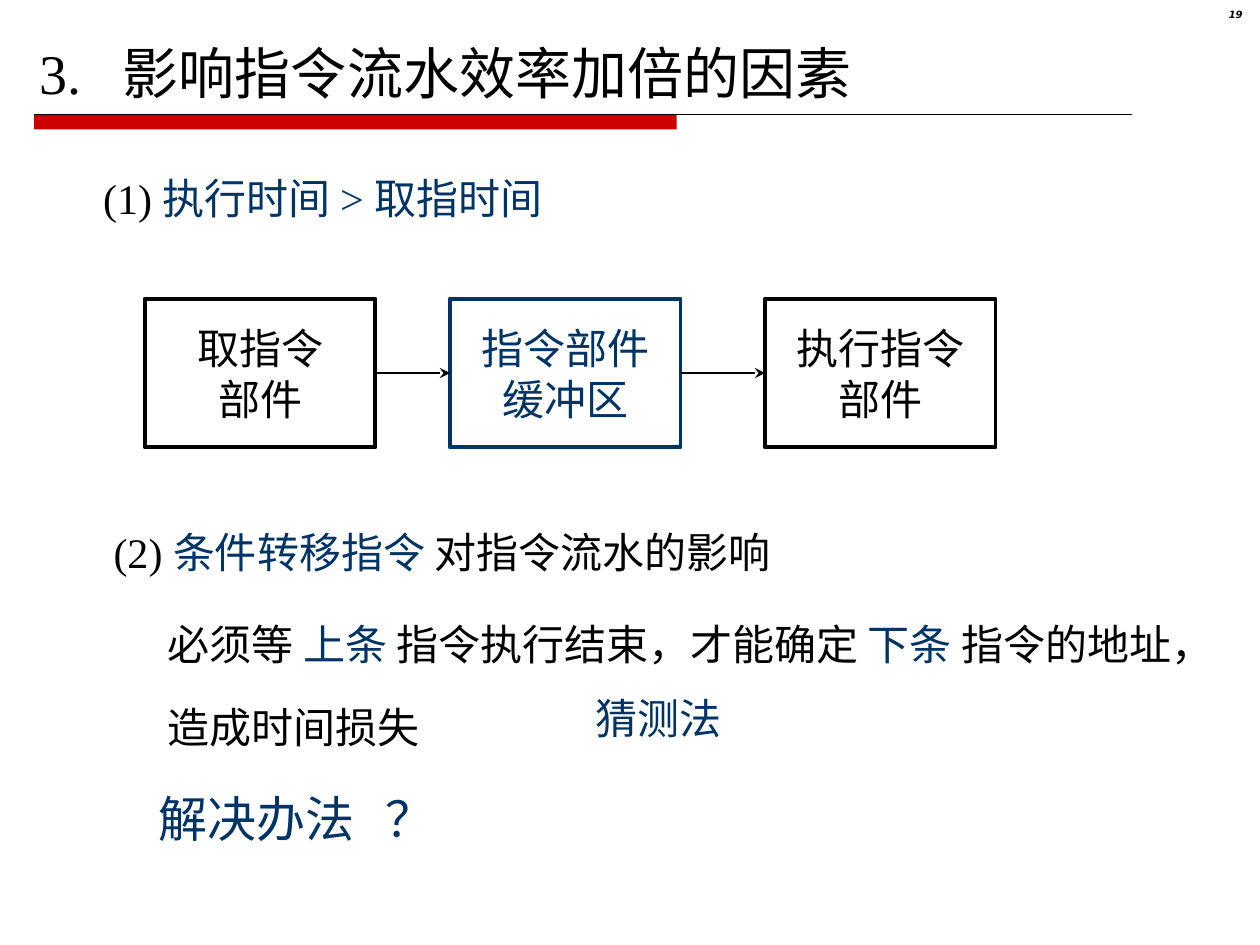
from dataclasses import dataclass
from itertools import pairwise

from lxml.etree import SubElement
from pptx import Presentation
from pptx.dml.color import RGBColor
from pptx.enum.shapes import MSO_CONNECTOR, MSO_SHAPE
from pptx.enum.text import MSO_ANCHOR, PP_ALIGN
from pptx.oxml.ns import qn
from pptx.util import Cm, Pt


@dataclass(frozen=True)
class Theme:
    ink: str = "000000"
    accent: str = "003366"
    bar: str = "CC0000"
    paper: str = "FFFFFF"
    serif: str = "Times New Roman"
    sans: str = "DejaVu Sans"
    title: float = 32
    strong: float = 28
    body: float = 24
    number: float = 5.7


THEME = Theme()


@dataclass(frozen=True)
class Span:
    text: str
    color: str = THEME.ink
    size: float = THEME.body
    font: str = THEME.serif
    emphasis: bool = False


@dataclass(frozen=True)
class TextBlock:
    """A text box: place and insets in centimetres, lines made of spans."""
    place: tuple[float, float, float, float]
    lines: list[list[Span]]
    insets: tuple[float, float, float, float] = (0, 0.13, 0, 0.13)
    anchor: MSO_ANCHOR = MSO_ANCHOR.MIDDLE
    align: PP_ALIGN = PP_ALIGN.LEFT
    spacing: float = 1.0
    tab: float | None = None


@dataclass(frozen=True)
class Stage:
    left: float
    lines: tuple[str, str]
    color: str = THEME.ink


STAGE_TOP, STAGE_WIDTH, STAGE_HEIGHT = 6.02, 4.65, 3.0
PADDED = (0.25, 0.13, 0.25, 0.13)


def set_values(target, values: dict) -> None:
    for name, value in values.items():
        setattr(target, name, value)


def color_of(code: str) -> RGBColor:
    return RGBColor.from_string(code)


def write_text(shape, block: TextBlock) -> None:
    frame = shape.text_frame
    left, top, right, bottom = block.insets
    set_values(frame, {
        "word_wrap": True, "vertical_anchor": block.anchor,
        "margin_left": Cm(left), "margin_top": Cm(top),
        "margin_right": Cm(right), "margin_bottom": Cm(bottom),
    })
    for index, line in enumerate(block.lines):
        para = frame.add_paragraph() if index else frame.paragraphs[0]
        if block.tab is not None:
            tabs = SubElement(para._p.get_or_add_pPr(), qn("a:tabLst"))
            SubElement(tabs, qn("a:tab"), pos=str(Cm(block.tab)), algn="l")
        set_values(para, {"alignment": block.align,
                          "line_spacing": block.spacing})
        for span in line:
            run = para.add_run()
            run.text = span.text
            set_values(run.font, {
                "name": span.font, "size": Pt(span.size),
                "bold": span.emphasis, "italic": span.emphasis,
            })
            run.font.color.rgb = color_of(span.color)


def draw_text(page, block: TextBlock) -> None:
    box = page.shapes.add_textbox(*map(Cm, block.place))
    write_text(box, block)


def draw_line(page, start: tuple[float, float], end: tuple[float, float],
              width: float, arrow: bool = False) -> None:
    line = page.shapes.add_connector(
        MSO_CONNECTOR.STRAIGHT, *map(Cm, (*start, *end)))
    line.line.color.rgb = color_of(THEME.ink)
    line.line.width = Pt(width)
    if arrow:
        SubElement(line.line._get_or_add_ln(), qn("a:tailEnd"), type="stealth")
    SubElement(line._element.spPr, qn("a:effectLst"))


def draw_stage(page, stage: Stage) -> None:
    place = (stage.left, STAGE_TOP, STAGE_WIDTH, STAGE_HEIGHT)
    box = page.shapes.add_shape(MSO_SHAPE.RECTANGLE, *map(Cm, place))
    box.shadow.inherit = False
    box.fill.background()
    box.line.color.rgb = color_of(stage.color)
    box.line.width = Pt(2.25)
    lines = [[Span(text, stage.color)] for text in stage.lines]
    write_text(box, TextBlock(place, lines, align=PP_ALIGN.CENTER))


def draw_header_rule(page) -> None:
    left, top = 0.69, 2.31
    bar = page.shapes.add_shape(
        MSO_SHAPE.RECTANGLE, *map(Cm, (left, top, 12.95, 0.3)))
    bar.shadow.inherit = False
    bar.fill.solid()
    bar.fill.fore_color.rgb = color_of(THEME.bar)
    bar.line.fill.background()
    draw_line(page, (left, top), (22.81, top), 0.75)


STAGES = [
    Stage(2.92, ("取指令", "部件")),
    Stage(9.07, ("指令部件", "缓冲区"), THEME.accent),
    Stage(15.42, ("执行指令", "部件")),
]

TEXT_BLOCKS = [
    # Page number
    TextBlock((23.8, 0.13, 1.5, 0.58),
              [[Span("19", size=THEME.number, font=THEME.sans, emphasis=True)]],
              PADDED, MSO_ANCHOR.TOP, PP_ALIGN.RIGHT, 0.8),
    # Title
    TextBlock((0.79, 0.71, 17.58, 1.47),
              [[Span("3.\t影响指令流水效率加倍的因素", size=THEME.title)]],
              tab=1.69),
    # First factor
    TextBlock((2.08, 3.25, 13, 1.47),
              [[Span("(1) "), Span("执行时间 > 取指时间", THEME.accent)]]),
    # Second factor and its explanation
    TextBlock((2.08, 10.62, 17.78, 1.9),
              [[Span("(2) "), Span("条件转移指令 ", THEME.accent),
                Span("对指令流水的影响")]],
              (0.21, 0, 0, 0), MSO_ANCHOR.TOP),
    TextBlock((2.92, 11.68, 22.48, 3.61),
              [[Span("必须等 "), Span("上条 ", THEME.accent),
                Span("指令执行结束，才能确定 "), Span("下条 ", THEME.accent),
                Span("指令的地址，")],
               [Span("造成时间损失")]],
              (0.46, 0.13, 0.1, 0.13), MSO_ANCHOR.TOP, spacing=1.65),
    # Remedy
    TextBlock((2.08, 15.75, 17.98, 1.47),
              [[Span("解决办法\t？", THEME.accent, THEME.strong)]],
              (1.12, 0.13, 0, 0.13), tab=4.58),
    TextBlock((11.76, 13.84, 11, 1.27), [[Span("猜测法", THEME.accent)]],
              PADDED, MSO_ANCHOR.TOP),
]


def main() -> None:
    deck = Presentation()
    set_values(deck, {"slide_width": Cm(25.4), "slide_height": Cm(19.05)})
    page = deck.slides.add_slide(deck.slide_layouts[6])
    page.background.fill.solid()
    page.background.fill.fore_color.rgb = color_of(THEME.paper)

    draw_header_rule(page)
    for block in TEXT_BLOCKS:
        draw_text(page, block)

    # Pipeline: stages joined by arrows at mid-height
    for stage in STAGES:
        draw_stage(page, stage)
    middle = STAGE_TOP + STAGE_HEIGHT / 2
    for source, target in pairwise(STAGES):
        draw_line(page, (source.left + STAGE_WIDTH, middle),
                  (target.left, middle), 1.5, arrow=True)

    deck.save("out.pptx")


if __name__ == "__main__":
    main()
